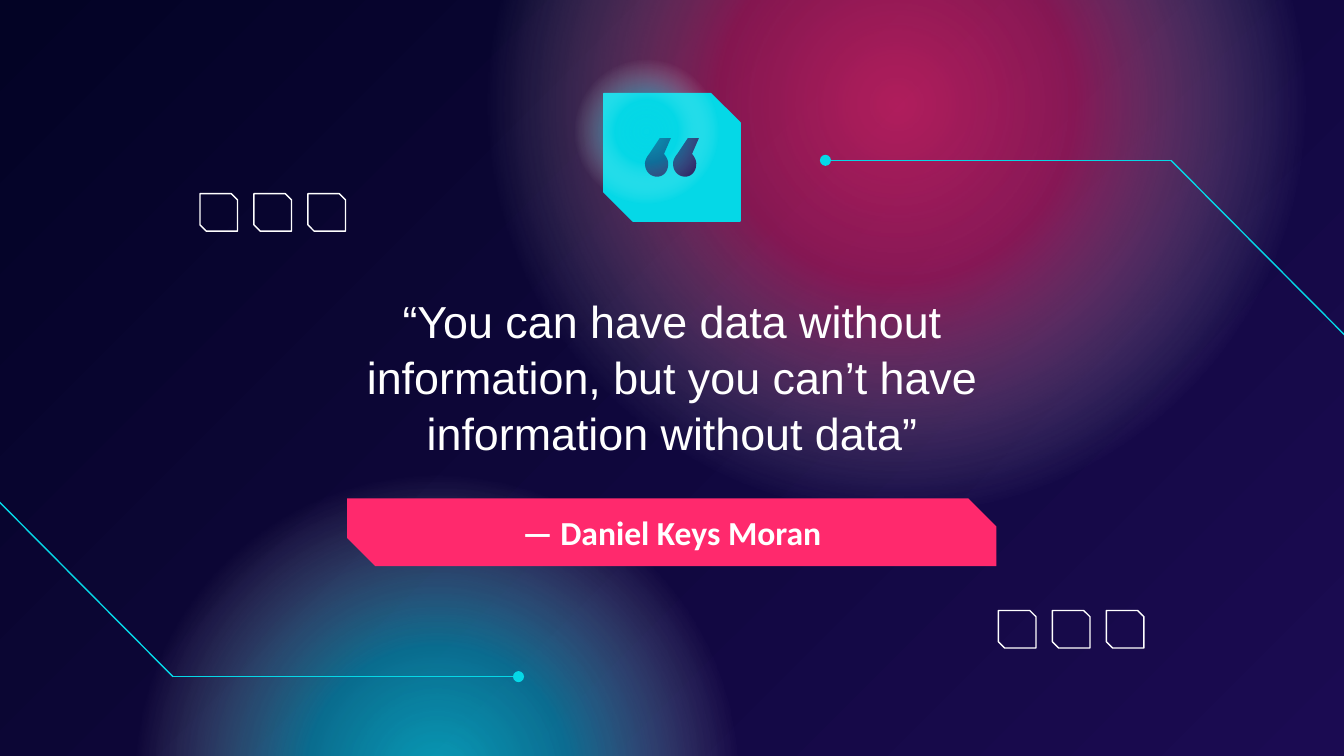
from lxml import etree
from pptx import Presentation
from pptx.dml.color import RGBColor
from pptx.enum.shapes import MSO_CONNECTOR, MSO_SHAPE
from pptx.enum.text import MSO_ANCHOR, PP_ALIGN
from pptx.oxml import parse_xml
from pptx.oxml.ns import nsdecls, qn
from pptx.util import Cm, Pt

STRAIGHT = MSO_CONNECTOR.STRAIGHT
SNIPPED = MSO_SHAPE.SNIP_2_DIAG_RECTANGLE
ELLIPSE = MSO_SHAPE.OVAL
CENTER = PP_ALIGN.CENTER
TOP, MIDDLE = MSO_ANCHOR.TOP, MSO_ANCHOR.MIDDLE

WIDTH, HEIGHT = 25.4, 14.29
COLORS = {
    "night": "030325",
    "violet": "1B0B52",
    "pink": "FF296D",
    "cyan": "05D8E7",
    "white": "FFFFFF",
}
UNITS_PER_CM = 1000


def rgb(name):
    return RGBColor.from_string(COLORS[name])


def set_background(slide):
    fill = slide.background.fill
    fill.gradient()
    fill.gradient_angle = 315
    for stop, name in zip(fill.gradient_stops, ("night", "violet")):
        stop.color.rgb = rgb(name)


def add_glow(slide, left, top, size, color, center_alpha, ring_alpha):
    """Add a circle whose colour fades out from its centre."""
    shape = slide.shapes.add_shape(ELLIPSE, Cm(left), Cm(top), Cm(size), Cm(size))
    shape.shadow.inherit = False
    shape.line.fill.background()
    shape.fill.background()
    stops = [(0, color, center_alpha), (30, color, ring_alpha),
             (69, "white", 0), (100, "white", 0)]
    stops_xml = "".join(
        f'<a:gs pos="{position * 1000}"><a:srgbClr val="{COLORS[name]}">'
        f'<a:alpha val="{alpha * 1000}"/></a:srgbClr></a:gs>'
        for position, name, alpha in stops)
    gradient = parse_xml(
        f'<a:gradFill {nsdecls("a")} rotWithShape="1"><a:gsLst>{stops_xml}</a:gsLst>'
        '<a:path path="circle"><a:fillToRect l="50000" t="50000" r="50000" b="50000"/>'
        '</a:path></a:gradFill>')
    properties = shape.element.spPr
    properties.replace(properties.find(qn("a:noFill")), gradient)


def add_snipped(slide, left, top, width, height, snip, fill=None, line=None):
    shape = slide.shapes.add_shape(SNIPPED, Cm(left), Cm(top), Cm(width), Cm(height))
    shape.shadow.inherit = False
    shape.adjustments[0] = 0
    shape.adjustments[1] = snip
    if fill:
        shape.fill.solid()
        shape.fill.fore_color.rgb = rgb(fill)
    else:
        shape.fill.background()
    if line:
        shape.line.color.rgb = rgb(line)
        shape.line.width = Pt(0.75)
    else:
        shape.line.fill.background()


def add_line(slide, start, end, dot=False):
    connector = slide.shapes.add_connector(
        STRAIGHT, *(Cm(value) for value in (*start, *end)))
    connector.line.color.rgb = rgb("cyan")
    connector.line.width = Pt(0.75)
    if dot:
        line = connector.line._get_or_add_ln()
        etree.SubElement(line, qn("a:tailEnd"), type="oval")
    etree.SubElement(connector.element.spPr, qn("a:effectLst"))


def add_circuit(slide, points):
    """Add a bent line that ends in a dot."""
    edge, corner, end = points
    add_line(slide, edge, corner)
    add_line(slide, corner, end, dot=True)


def add_square_row(slide, left, top, size=0.71, step=1.02):
    for index in range(3):
        add_snipped(slide, left + index * step, top, size, size, 0.167, line="white")


def curve_points(start, control_1, control_2, end, steps=10):
    """Return points along a cubic curve, without its start."""
    points = []
    for step in range(1, steps + 1):
        t = step / steps
        weights = ((1 - t) ** 3, 3 * t * (1 - t) ** 2, 3 * t ** 2 * (1 - t), t ** 3)
        nodes = (start, control_1, control_2, end)
        points.append(tuple(
            sum(weight * node[axis] for weight, node in zip(weights, nodes))
            for axis in (0, 1)))
    return points


def add_quote_mark(slide, left, top, gap=0.53):
    outline = [(0.28, 0), (0.08, 0.30)]
    curves = [
        ((0.03, 0.36), (0, 0.43), (0, 0.48)),
        ((0, 0.63), (0.10, 0.73), (0.23, 0.73)),
        ((0.35, 0.73), (0.44, 0.63), (0.44, 0.48)),
        ((0.44, 0.43), (0.41, 0.36), (0.36, 0.30)),
    ]
    for curve in curves:
        outline += curve_points(outline[-1], *curve)
    outline.append((0.49, 0))

    builder = None
    for shift in (0, gap):
        points = [(round((left + shift + x) * UNITS_PER_CM),
                   round((top + y) * UNITS_PER_CM)) for x, y in outline]
        if builder is None:
            builder = slide.shapes.build_freeform(*points[0], scale=Cm(1) / UNITS_PER_CM)
        else:
            builder.move_to(*points[0])
        builder.add_line_segments(points[1:], close=True)
    shape = builder.convert_to_shape()
    shape.shadow.inherit = False
    shape.fill.solid()
    shape.fill.fore_color.rgb = rgb("violet")
    shape.line.fill.background()


def add_text(slide, text, left, top, width, height, *, font, size,
             bold=False, anchor=TOP, line_spacing=1.0):
    box = slide.shapes.add_textbox(Cm(left), Cm(top), Cm(width), Cm(height))
    frame = box.text_frame
    frame.word_wrap = True
    frame.vertical_anchor = anchor
    frame.margin_left = frame.margin_right = Cm(0.25)
    frame.margin_top = frame.margin_bottom = Cm(0.25)
    paragraph = frame.paragraphs[0]
    paragraph.text = text
    paragraph.alignment = CENTER
    paragraph.line_spacing = line_spacing
    paragraph.font.name = font
    paragraph.font.size = Pt(size)
    paragraph.font.bold = bold
    paragraph.font.color.rgb = rgb("white")


def main():
    presentation = Presentation()
    presentation.slide_width = Cm(WIDTH)
    presentation.slide_height = Cm(HEIGHT)
    slide = presentation.slides.add_slide(presentation.slide_layouts[6])

    # Backdrop: glows and two circuit lines, the second a half turn of the first
    set_background(slide)
    add_glow(slide, 9, -5.97, 15.88, "pink", 67, 49)
    add_glow(slide, 2.41, 8.84, 11.68, "cyan", 71, 48)
    circuit = [(25.48, 6.4), (22.13, 3.03), (15.6, 3.03)]
    add_circuit(slide, circuit)
    add_circuit(slide, [(WIDTH - x, 15.82 - y) for x, y in circuit])

    # Author and quotation
    add_snipped(slide, 6.56, 9.42, 12.27, 1.28, 0.415, fill="pink")
    add_text(slide, "— Daniel Keys Moran", 8.99, 9.42, 7.42, 1.28,
             font="Calibri", size=18, bold=True, anchor=MIDDLE)
    add_text(slide, "“You can have data without information, "
             "but you can’t have information without data”",
             5.8, 5.26, 13.8, 3.58, font="Arial", size=24, line_spacing=1.04)

    # Quote badge
    add_snipped(slide, 11.41, 1.77, 2.58, 2.41, 0.23, fill="cyan", line="cyan")
    add_quote_mark(slide, 12.19, 2.61)
    add_glow(slide, 10.82, 1.09, 2.79, "cyan", 71, 48)

    # Small squares
    add_square_row(slide, 3.78, 3.66)
    add_square_row(slide, 18.87, 11.54)

    presentation.save("out.pptx")


if __name__ == "__main__":
    main()
